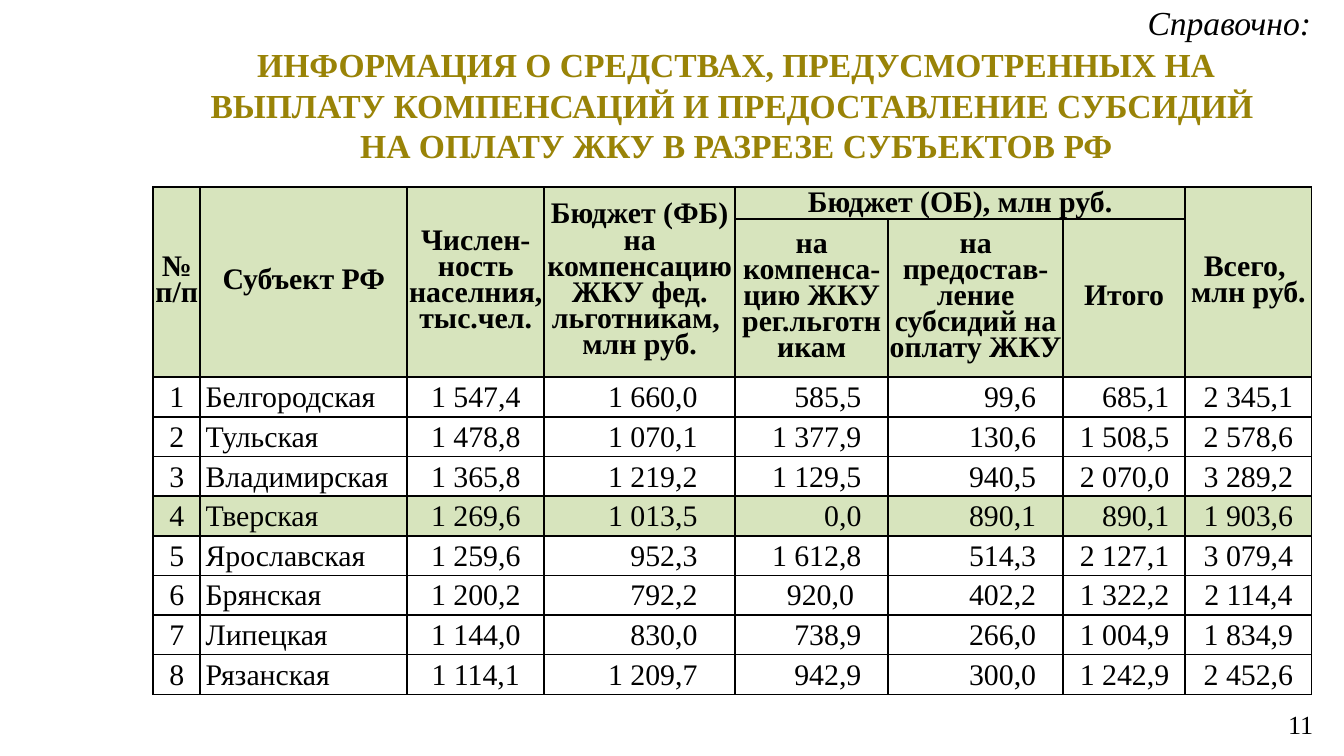
from lxml.etree import SubElement
from pptx import Presentation
from pptx.dml.color import RGBColor
from pptx.enum.text import MSO_ANCHOR, MSO_AUTO_SIZE, PP_ALIGN
from pptx.oxml.ns import qn
from pptx.util import Inches, Pt

FONT = "Times New Roman"
BLACK, WHITE, GREEN, GOLD = "000000", "FFFFFF", "D7E4BD", "998307"
LEFT, CENTER, RIGHT = PP_ALIGN.LEFT, PP_ALIGN.CENTER, PP_ALIGN.RIGHT

# Column width, then alignment, left inset and right inset of its body cells
COLUMNS = [
    (0.35, CENTER, 0.01, 0.01),
    (1.54, LEFT, 0.04, 0.01),
    (1.02, CENTER, 0, 0),
    (1.42, RIGHT, 0.01, 0.28),
    (1.14, RIGHT, 0.01, 0.2),
    (1.3, RIGHT, 0.01, 0.2),
    (0.91, RIGHT, 0, 0.12),
    (0.94, CENTER, 0.01, 0.01),
]
HEADER_HEIGHTS, BODY_HEIGHT = [0.24, 0.95], 2.36

# Row, column, rows spanned, columns spanned, paragraphs
HEADERS = [
    (0, 0, 2, 1, ["№ п/п"]),
    (0, 1, 2, 1, ["Субъект РФ"]),
    (0, 2, 2, 1, ["Числен-ность населния, тыс.чел."]),
    (0, 3, 2, 1, ["Бюджет (ФБ) на компенсацию ЖКУ фед. льготникам, \nмлн руб."]),
    (0, 4, 1, 3, ["Бюджет (ОБ), млн руб."]),
    (0, 7, 2, 1, ["Всего, ", "млн руб."]),
    (1, 4, 1, 1, ["на компенса-цию ЖКУ рег.льготникам"]),
    (1, 5, 1, 1, ["на предостав-ление субсидий на оплату ЖКУ"]),
    (1, 6, 1, 1, ["Итого"]),
]
REGIONS = [
    ("Белгородская", "1 547,4", "1 660,0", "585,5", "99,6", "685,1", "2 345,1"),
    ("Тульская", "1 478,8", "1 070,1", "1 377,9", "130,6", "1 508,5", "2 578,6"),
    ("Владимирская", "1 365,8", "1 219,2", "1 129,5", "940,5", "2 070,0", "3 289,2"),
    ("Тверская", "1 269,6", "1 013,5", "0,0", "890,1", "890,1", "1 903,6"),
    ("Ярославская", "1 259,6", "952,3", "1 612,8", "514,3", "2 127,1", "3 079,4"),
    ("Брянская", "1 200,2", "792,2", "920,0 ", "402,2", "1 322,2", "2 114,4"),
    ("Липецкая", "1 144,0", "830,0", "738,9", "266,0", "1 004,9", "1 834,9"),
    ("Рязанская", "1 114,1", "1 209,7", "942,9", "300,0", "1 242,9", "2 452,6"),
]
HIGHLIGHT = "Тверская"


def color(value):
    return RGBColor.from_string(value)


def write(tf, paragraphs, size, align, fill=BLACK, bold=False, italic=False, spacing=None):
    for i, text in enumerate(paragraphs):
        p = tf.add_paragraph() if i else tf.paragraphs[0]
        p.alignment = align
        if spacing:
            p.line_spacing = spacing
        for j, line in enumerate(text.split("\n")):
            if j:
                p.add_line_break()
            r = p.add_run()
            r.text = line
            font = r.font
            font.name, font.size, font.bold, font.italic = FONT, Pt(size), bold, italic
            font.color.rgb = color(fill)


def add_title(s, x, y, w, h):
    sp = s.shapes.title
    sp.left, sp.top, sp.width, sp.height = map(Inches, (x, y, w, h))
    tf = sp.text_frame
    tf.word_wrap = True
    tf.auto_size = MSO_AUTO_SIZE.NONE
    tf.vertical_anchor = MSO_ANCHOR.MIDDLE
    write(tf, ["ИНФОРМАЦИЯ О СРЕДСТВАХ, ПРЕДУСМОТРЕННЫХ НА ВЫПЛАТУ КОМПЕНСАЦИЙ "
               "И ПРЕДОСТАВЛЕНИЕ СУБСИДИЙ \nНА ОПЛАТУ ЖКУ В РАЗРЕЗЕ СУБЪЕКТОВ РФ"],
          18, CENTER, GOLD, bold=True)


def add_label(s, x, y, w, h, text, size, align, anchor, **style):
    sp = s.shapes.add_textbox(Inches(x), Inches(y), Inches(w), Inches(h))
    tf = sp.text_frame
    tf.word_wrap = True
    tf.vertical_anchor = anchor
    write(tf, [text], size, align, **style)


def format_cell(cell, fill, left=0, right=0):
    cell.margin_left, cell.margin_right = Inches(left), Inches(right)
    cell.margin_top, cell.margin_bottom = Inches(0.01), 0
    cell.vertical_anchor = MSO_ANCHOR.MIDDLE
    # Borders go before the fill in the cell properties
    tcPr = cell._tc.get_or_add_tcPr()
    for side in ("a:lnL", "a:lnR", "a:lnT", "a:lnB"):
        ln = SubElement(tcPr, qn(side), w=str(Pt(1)))
        solid = SubElement(ln, qn("a:solidFill"))
        SubElement(solid, qn("a:srgbClr"), val=BLACK)
    cell.fill.solid()
    cell.fill.fore_color.rgb = color(fill)


def add_budget_table(s, x, y):
    heights = HEADER_HEIGHTS + [BODY_HEIGHT / len(REGIONS)] * len(REGIONS)
    width = sum(column[0] for column in COLUMNS)
    frame = s.shapes.add_table(len(heights), len(COLUMNS), Inches(x), Inches(y),
                               Inches(width), Inches(sum(heights)))
    table = frame.table
    for row, height in zip(table.rows, heights):
        row.height = Inches(height)
    for column, (w, *_) in zip(table.columns, COLUMNS):
        column.width = Inches(w)

    # Header
    for row in range(len(HEADER_HEIGHTS)):
        for col in range(len(COLUMNS)):
            format_cell(table.cell(row, col), GREEN)
    for row, col, rows, cols, paragraphs in HEADERS:
        cell = table.cell(row, col)
        if rows * cols > 1:
            cell.merge(table.cell(row + rows - 1, col + cols - 1))
        if cols > 1:
            cell.vertical_anchor = MSO_ANCHOR.BOTTOM
        write(cell.text_frame, paragraphs, 16, CENTER, bold=True, spacing=Pt(14))

    # Regions
    for number, region in enumerate(REGIONS, 1):
        fill = GREEN if region[0] == HIGHLIGHT else WHITE
        for col, text in enumerate((str(number), *region)):
            _, align, left, right = COLUMNS[col]
            cell = table.cell(number + len(HEADER_HEIGHTS) - 1, col)
            format_cell(cell, fill, left, right)
            write(cell.text_frame, [text], 16, align)


def main():
    prs = Presentation()
    # Widescreen, 16:9
    prs.slide_width = Inches(10)
    prs.slide_height = prs.slide_width * 9 // 16
    s = prs.slides.add_slide(prs.slide_layouts[5])
    add_label(s, 7.62, 5.24, 2.25, 0.3, "11", 14, RIGHT, MSO_ANCHOR.MIDDLE)
    add_budget_table(s, 1.14, 1.39)
    add_title(s, 1.14, 0.32, 8.68, 0.92)
    add_label(s, 8.44, 0.03, 1.43, 0.34, "Справочно:", 18, PP_ALIGN.JUSTIFY,
              MSO_ANCHOR.TOP, italic=True, spacing=Pt(17))
    prs.save("out.pptx")


if __name__ == "__main__":
    main()
